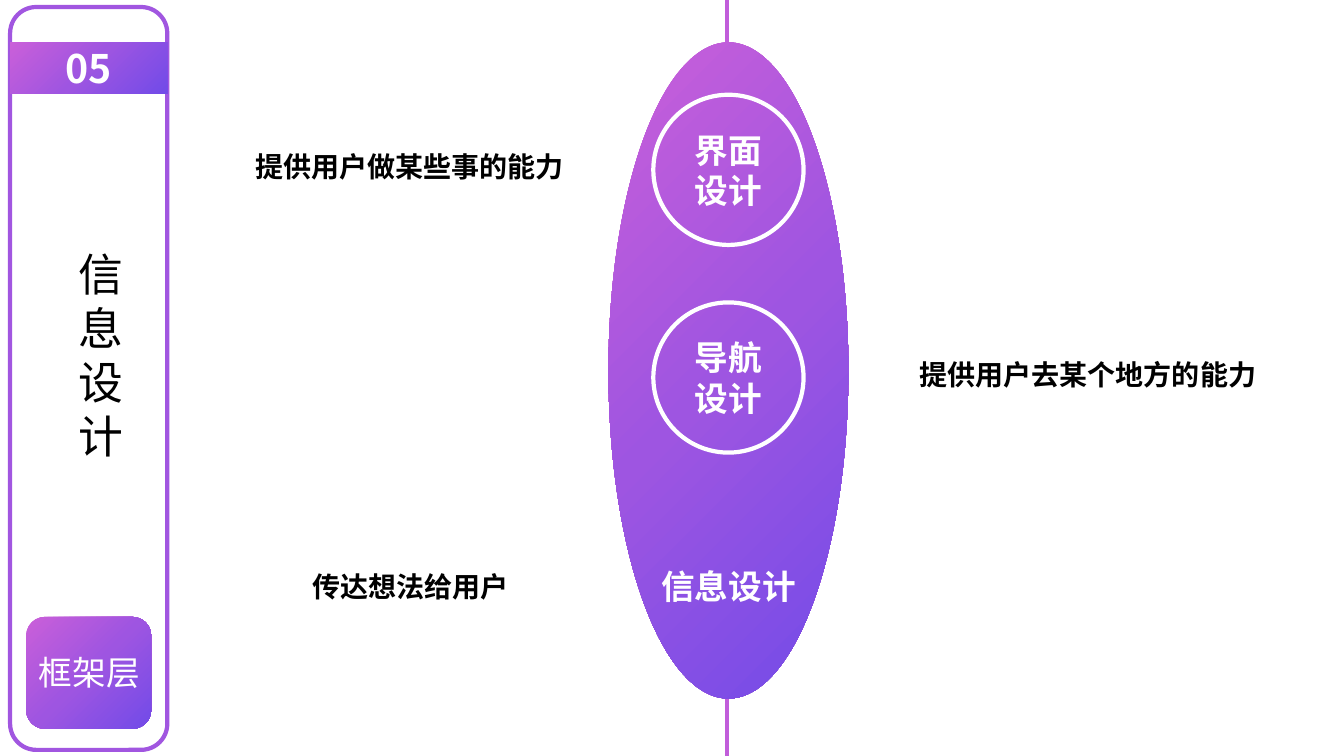
import copy
import pptx
import pptx.util
import pptx.dml.color
import pptx.enum.shapes
import pptx.enum.text
import pptx.oxml
import pptx.oxml.ns

# Content: boxes are (left, top, width, height) in percent of the slide
FONT = "Noto Sans CJK SC"
HEX = {"white": "FFFFFF", "black": "000000", "axis": "C15DDA", "frame": "A156E0"}
GRAD = [(0, "CA5FD9"), (0.5, "9E55E1"), (1, "724BE8")]

TITLE = ("信息设计", (5.1, 32, 2.93, 30.13))
LEVEL = ("框架层", (2.03, 85.6, 9.23, 6.67))
NUMBER = "05"
CIRCLES = [("界面设计", 12.53), ("导航设计", 40)]
BASE = ("信息设计", (47.64, 74.13, 13.13, 6.67))
NOTES = [
    ("提供用户做某些事的能力", (18.23, 19.07, 24.53, 5.87)),
    ("提供用户去某个地方的能力", (67.52, 46.67, 26.86, 5.87)),
    ("传达想法给用户", (17.1, 74.67, 26.86, 5.87)),
]

AXIS = 54.09
MID = 54.2
OVAL_TOP, OVAL_W, OVAL_H = 5.6, 17.85, 86.8
RING_W, RING_H = 11.18, 19.87
SIDE_X, SIDE_W = 0.75, 11.7

# Slide
deck = pptx.Presentation()
deck.slide_width = pptx.util.Inches(13.33)
deck.slide_height = pptx.util.Inches(7.5)
slide = deck.slides.add_slide(deck.slide_layouts[5])
shapes = slide.shapes
KIND = pptx.enum.shapes.MSO_SHAPE
ANCHOR = pptx.enum.text.MSO_ANCHOR


def color(name):
    return pptx.dml.color.RGBColor.from_string(HEX.get(name, name))


def place(box):
    x, y, w, h = box
    wide, high = deck.slide_width / 100, deck.slide_height / 100
    return [round(v) for v in (x * wide, y * high, w * wide, h * high)]


def blend(fill):
    fill.gradient()
    fill.gradient_angle = 315
    stops = fill.gradient_stops
    last = stops[1]._gs
    last.addprevious(copy.deepcopy(last))
    for stop, (pos, tone) in zip(fill.gradient_stops, GRAD):
        stop.position = pos
        stop.color.rgb = color(tone)


def write(shape, text, size, tone, bold=False, anchor=ANCHOR.TOP):
    frame = shape.text_frame
    frame.word_wrap = True
    frame.auto_size = pptx.enum.text.MSO_AUTO_SIZE.NONE
    frame.vertical_anchor = anchor
    para = frame.paragraphs[0]
    para.text = text
    para.alignment = pptx.enum.text.PP_ALIGN.CENTER
    para.line_spacing = pptx.util.Pt(size * 1.2)
    font = para.font
    font.name, font.size, font.bold = FONT, pptx.util.Pt(size), bold
    font.color.rgb = color(tone)
    # East Asian typeface follows the Latin one
    props = para._p.pPr.find(pptx.oxml.ns.qn("a:defRPr"))
    ns = pptx.oxml.ns.nsdecls("a")
    props.append(pptx.oxml.parse_xml(f'<a:ea {ns} typeface="{FONT}"/>'))


def draw(kind, box, fill=None, line=None):
    shape = shapes.add_shape(kind, *place(box))
    shape.shadow.inherit = False
    if fill == "blend":
        blend(shape.fill)
    elif fill:
        shape.fill.solid()
        shape.fill.fore_color.rgb = color(fill)
    else:
        shape.fill.background()
    if line:
        shape.line.color.rgb = color(line)
        shape.line.width = pptx.util.Pt(3)
    else:
        shape.line.fill.background()
    return shape


def label(text, box, *style):
    write(shapes.add_textbox(*place(box)), text, *style)


# Axis above and below the oval
for top, end in [(0, OVAL_TOP + 2), (OVAL_TOP + OVAL_H - 5, 100)]:
    x, y, _, drop = place((AXIS, top, 0, end - top))
    rule = shapes.add_connector(
        pptx.enum.shapes.MSO_CONNECTOR.STRAIGHT, x, y, x, y + drop)
    rule.line.color.rgb = color("axis")
    rule.line.width = pptx.util.Pt(3)
    ns = pptx.oxml.ns.nsdecls("a")
    rule._element.spPr.append(pptx.oxml.parse_xml(f"<a:effectLst {ns}/>"))

draw(KIND.OVAL, (MID - OVAL_W / 2, OVAL_TOP, OVAL_W, OVAL_H), "blend")

# Sidebar
draw(KIND.ROUNDED_RECTANGLE, (SIDE_X, 0.93, SIDE_W, 98.27), "white", "frame")
draw(KIND.ROUNDED_RECTANGLE, (1.95, 81.6, 9.3, 14.8), "blend")
label(*LEVEL, 24, "white")

title = shapes.title
shapes._spTree.append(title._element)
title.left, title.top, title.width, title.height = place(TITLE[1])
write(title, TITLE[0], 32, "black")

band = draw(KIND.RECTANGLE, (SIDE_X, OVAL_TOP, SIDE_W, 6.8), "blend")
write(band, NUMBER, 28, "white", True, ANCHOR.MIDDLE)

# Circles, notes and the base label
for text, top in CIRCLES:
    ring = draw(KIND.OVAL, (MID - RING_W / 2, top, RING_W, RING_H), None, "white")
    write(ring, text, 24, "white", True, ANCHOR.MIDDLE)
for text, box in NOTES:
    label(text, box, 20, "black", True)
label(*BASE, 24, "white", True)

deck.save("out.pptx")
